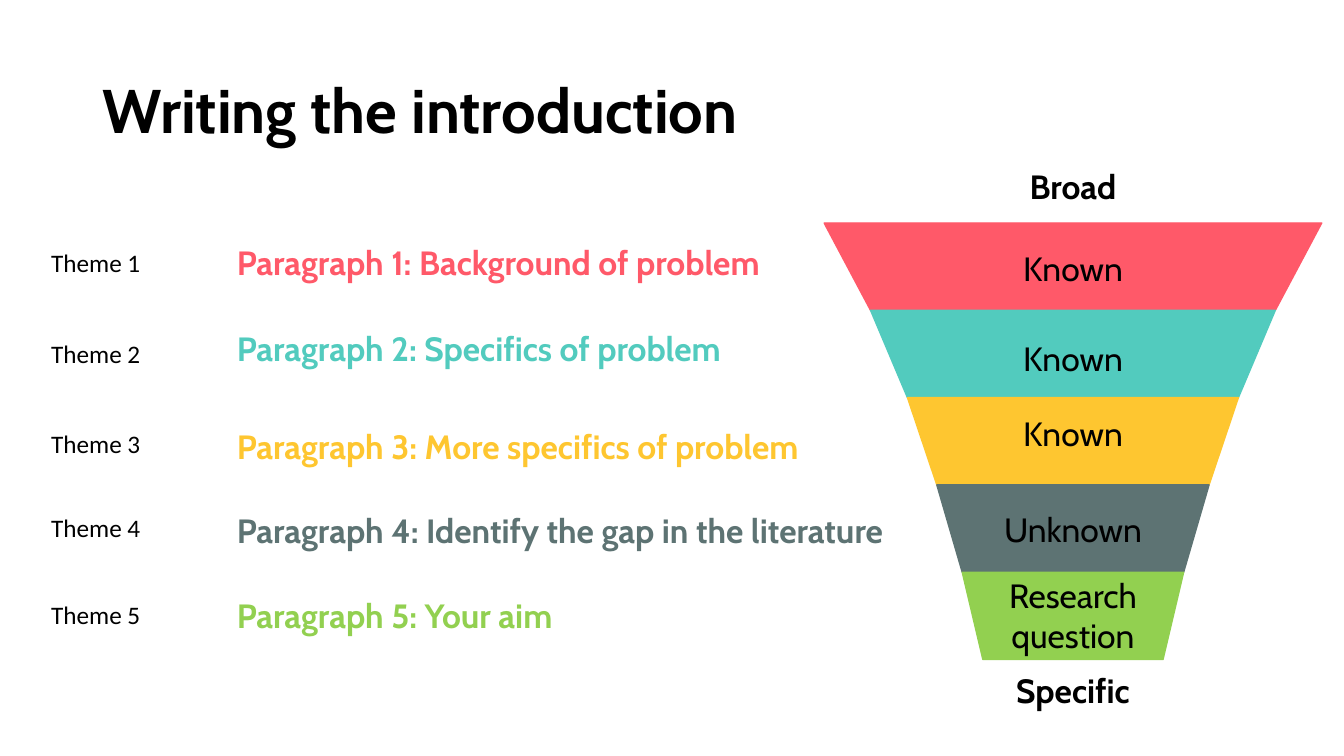
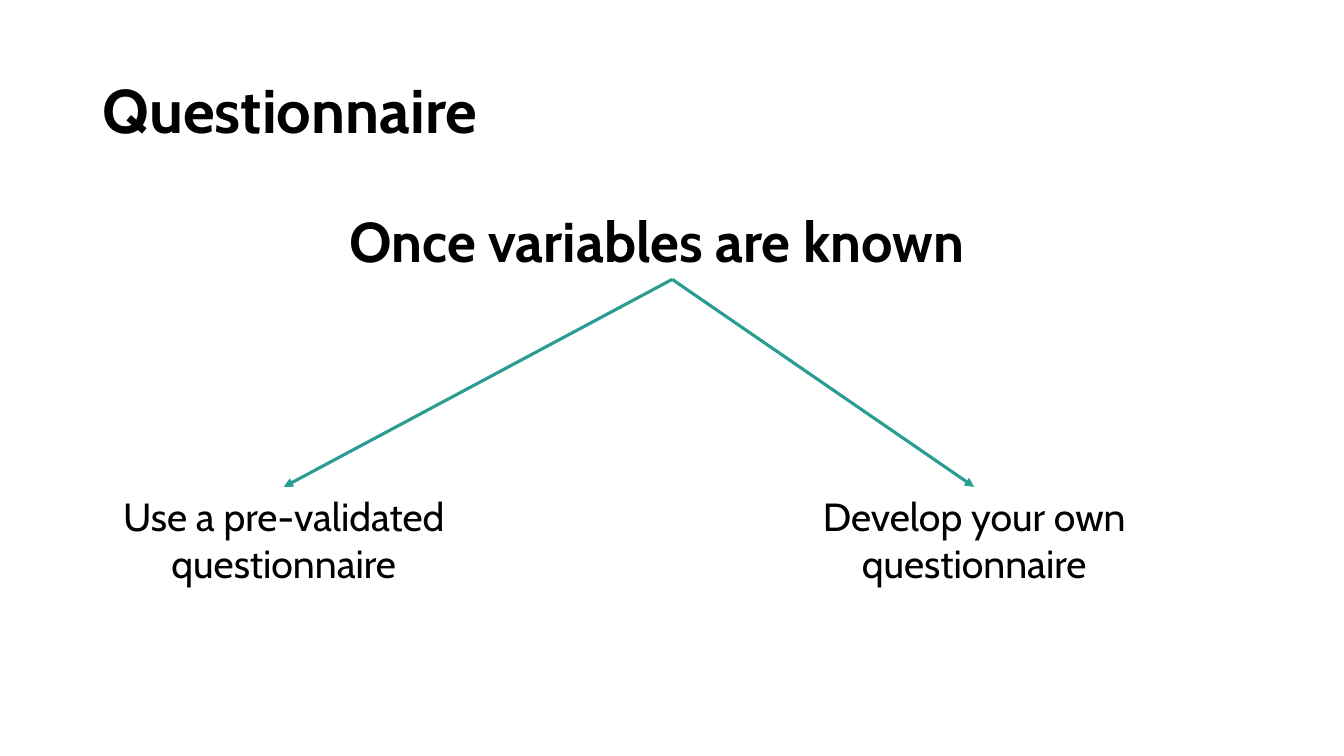
from lxml import etree
from pptx import Presentation
from pptx.dml.color import RGBColor
from pptx.enum.shapes import MSO_CONNECTOR
from pptx.enum.text import MSO_ANCHOR, PP_ALIGN
from pptx.oxml.ns import qn
from pptx.util import Cm, Pt

LEFT, CENTER = PP_ALIGN.LEFT, PP_ALIGN.CENTER
TOP, MIDDLE = MSO_ANCHOR.TOP, MSO_ANCHOR.MIDDLE
STRAIGHT = MSO_CONNECTOR.STRAIGHT

BLACK = RGBColor(0x00, 0x00, 0x00)
RED = RGBColor(0xFF, 0x59, 0x69)
AQUA = RGBColor(0x52, 0xCB, 0xBE)
GOLD = RGBColor(0xFE, 0xC6, 0x30)
SLATE = RGBColor(0x5D, 0x73, 0x73)
GREEN = RGBColor(0x92, 0xD0, 0x50)
TEAL = RGBColor(0x2A, 0x9D, 0x90)


class Deck:
    head = "Cabin"
    body = "Calibri"

    def __init__(self):
        self.prs = Presentation()
        self.prs.slide_width = Cm(33.87)
        self.prs.slide_height = Cm(19.05)
        self.slide = None

    def add(self, title):
        self.slide = self.prs.slides.add_slide(self.prs.slide_layouts[6])
        box = self.text(title, 2.34, 1.02, 29.21, 3.68, 44, bold=True, anchor=MIDDLE)
        box.text_frame.paragraphs[0].line_spacing = 0.9

    def text(self, words, x, y, w, h, size, color=BLACK, bold=False,
             align=LEFT, anchor=TOP, font=head):
        box = self.slide.shapes.add_textbox(Cm(x), Cm(y), Cm(w), Cm(h))
        frame = box.text_frame
        frame.word_wrap = True
        frame.vertical_anchor = anchor
        para = frame.paragraphs[0]
        para.alignment = align
        run = para.add_run()
        run.text = words
        run.font.name = font
        run.font.size = Pt(size)
        run.font.bold = bold
        run.font.color.rgb = color
        return box

    def label(self, words, mid, y, w, h, size=24, bold=False):
        return self.text(words, mid - w / 2, y, w, h, size, bold=bold, align=CENTER)

    def slice(self, mid, top, low, wide, slim, color):
        draw = self.slide.shapes.build_freeform(Cm(mid - wide), Cm(top))
        draw.add_line_segments([
            (Cm(mid + wide), Cm(top)),
            (Cm(mid + slim), Cm(low)),
            (Cm(mid - slim), Cm(low)),
        ])
        shape = draw.convert_to_shape()
        shape.shadow.inherit = False
        shape.fill.solid()
        shape.fill.fore_color.rgb = color
        shape.line.color.rgb = color
        shape.line.width = Pt(1)

    def arrow(self, x, y, goal):
        line = self.slide.shapes.add_connector(
            STRAIGHT, Cm(x), Cm(y), goal.left + goal.width // 2, goal.top)
        line.end_connect(goal, 0)
        line.line.color.rgb = TEAL
        line.line.width = Pt(2.25)
        tip = etree.SubElement(line.line._get_or_add_ln(), qn("a:tailEnd"))
        tip.set("type", "triangle")
        etree.SubElement(line._element.spPr, qn("a:effectLst"))


def funnel(deck):
    deck.add("Writing the introduction")
    mid, top, step = 27.04, 5.62, 2.2
    halves = [6.27, 5.1, 4.17, 3.43, 2.79, 2.27]
    rows = [
        ("Background of problem", RED, 5.97, 6.1, "Known", 6.12),
        ("Specifics of problem", AQUA, 8.15, 8.41, "Known", 8.38),
        ("More specifics of problem", GOLD, 10.62, 10.67, "Known", 10.29),
        ("Identify the gap in the literature", SLATE, 12.73, 12.78, "Unknown", 12.7),
        ("Your aim", GREEN, 14.86, 14.99, "Research question", 14.35),
    ]
    for i, (topic, color, y, side, tag, spot) in enumerate(rows):
        deck.text(f"Theme {i + 1}", 1.04, side, 4.65, 1.02, 18, font=deck.body)
        deck.text(f"Paragraph {i + 1}: {topic}", 5.72, y, 17.58, 1.27, 24, color, True)
        edge = top + i * step
        deck.slice(mid, edge, edge + step, halves[i], halves[i + 1], color)
        w, h = (5.97, 2.31) if " " in tag else (4.29, 1.27)
        deck.label(tag, mid, spot, w, h)
    for words, y in (("Broad", 4.06), ("Specific", 16.76)):
        deck.label(words, mid, y, 4.29, 1.27, bold=True)


def choice(deck):
    deck.add("Questionnaire")
    deck.label("Once variables are known", 16.55, 5.08, 17.5, 1.96, 40, True)
    for words, mid in (("Use a pre-validated questionnaire", 7.15),
                       ("Develop your own questionnaire", 24.55)):
        goal = deck.label(words, mid, 12.27, 12.83, 2.64, 28)
        deck.arrow(16.94, 7.04, goal)


def main():
    deck = Deck()
    funnel(deck)
    choice(deck)
    deck.prs.save("out.pptx")


if __name__ == "__main__":
    main()
